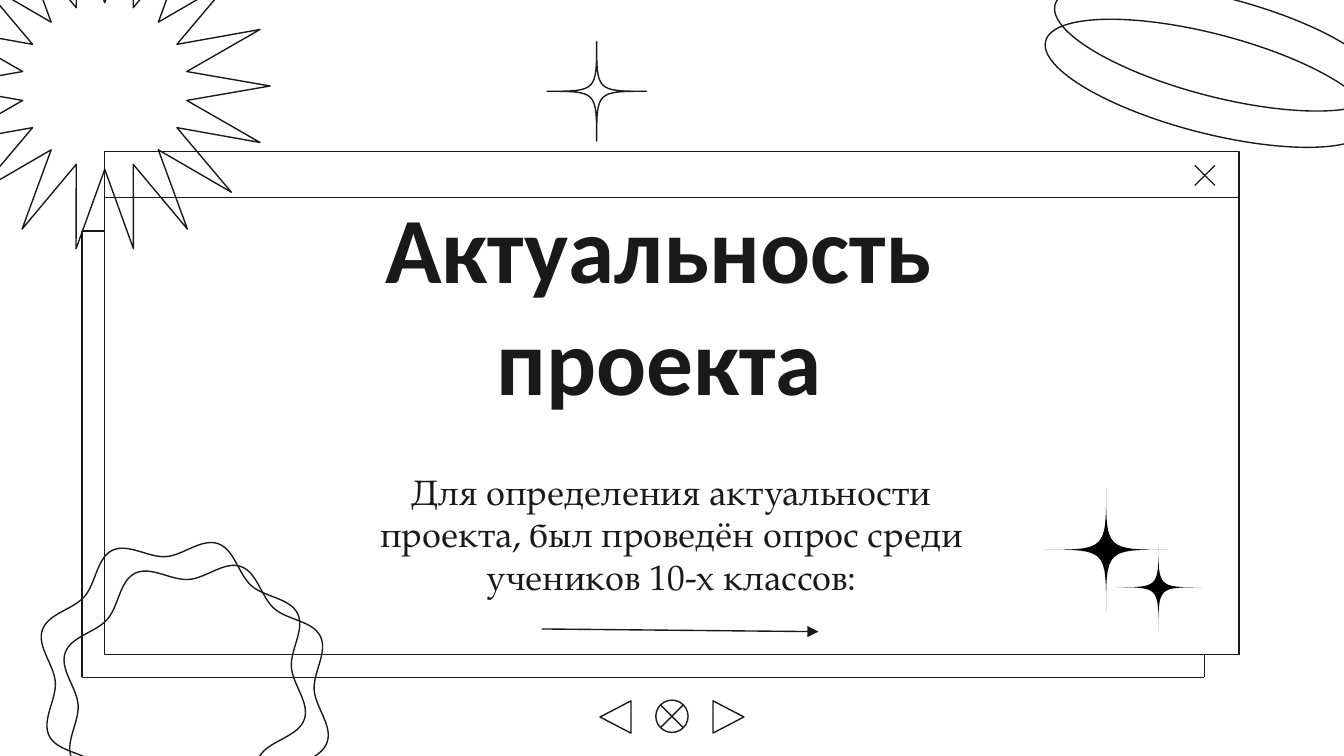
from math import cos, pi, radians, sin

from lxml.etree import SubElement
from pptx import Presentation
from pptx.dml.color import RGBColor
from pptx.enum.shapes import MSO_CONNECTOR, MSO_SHAPE
from pptx.enum.text import MSO_ANCHOR, MSO_AUTO_SIZE, PP_ALIGN
from pptx.oxml.ns import qn
from pptx.util import Inches, Pt

COLORS = {"ink": "191919", "spark": "000000", "arrow": "181818"}


def rgb(name):
    return RGBColor.from_string(COLORS[name])


def style(sp, fill=None):
    sp.shadow.inherit = False
    if fill:
        sp.fill.solid()
        sp.fill.fore_color.rgb = rgb(fill)
        sp.line.fill.background()
    else:
        sp.fill.background()
        sp.line.color.rgb = rgb("ink")
        sp.line.width = Pt(0.75)


def add_outline(s, kind, x, y, w, h, rotation=0):
    sp = s.shapes.add_shape(kind, Inches(x), Inches(y), Inches(w), Inches(h))
    sp.rotation = rotation
    style(sp)


def add_freeform(s, points, fill=None):
    pts = [(Inches(x), Inches(y)) for x, y in points]
    builder = s.shapes.build_freeform(*pts[0], scale=1.0)
    builder.add_line_segments(pts[1:], close=True)
    sp = builder.convert_to_shape()
    style(sp, fill)
    return sp


def add_curve(s, points, fill=None):
    sp = add_freeform(s, points, fill)
    lines = list(sp._element.iter(qn("a:lnTo")))
    for i in range(0, len(lines), 3):
        first, *rest = lines[i:i + 3]
        first.tag = qn("a:cubicBezTo")
        for line in rest:
            first.append(line[0])
            line.getparent().remove(line)
    return sp


def polar(cx, cy, radius, angle):
    return cx + radius * cos(angle), cy + radius * sin(angle)


def add_sunburst(s, cx, cy, outer, inner, rays):
    add_freeform(s, [polar(cx, cy, inner if i % 2 else outer, i * pi / rays)
                     for i in range(2 * rays)])


def add_badge(s, cx, cy, outer, inner, lobes, handle, turn, rotation):
    points = []
    for i in range(2 * lobes + 1):
        angle = i * pi / lobes + radians(turn)
        x, y = polar(cx, cy, inner if i % 2 else outer, angle)
        dx, dy = polar(0, 0, handle, angle + pi / 2)
        points += [(x - dx, y - dy), (x, y), (x + dx, y + dy)]
    add_curve(s, points[1:-1], None).rotation = rotation


def add_sparkle(s, cx, cy, radius, fill=None):
    tips = [polar(cx, cy, radius, i * pi / 2) for i in range(5)]
    points = tips[:1]
    for tip in tips[1:]:
        points += [(cx, cy), (cx, cy), tip]
    add_curve(s, points, fill)


def add_line(s, x1, y1, x2, y2, color="ink", arrow=False):
    c = s.shapes.add_connector(MSO_CONNECTOR.STRAIGHT, Inches(x1), Inches(y1),
                               Inches(x2), Inches(y2))
    c.line.color.rgb = rgb(color)
    c.line.width = Pt(0.75)
    if arrow:
        SubElement(c.line._get_or_add_ln(), qn("a:tailEnd"), type="triangle")
    SubElement(c._element.spPr, qn("a:effectLst"))


def add_window(s):
    add_outline(s, MSO_SHAPE.RECTANGLE, 0.78, 1.47, 8.44, 3.4)
    add_outline(s, MSO_SHAPE.RECTANGLE, 0.78, 1.13, 8.44, 0.34)
    add_line(s, 8.89, 1.23, 9.04, 1.38)
    add_line(s, 8.89, 1.38, 9.04, 1.23)
    edge = [(0.78, 1.72), (0.61, 1.72), (0.61, 5.04), (8.96, 5.04), (8.96, 4.87)]
    for start, end in zip(edge, edge[1:]):
        add_line(s, *start, *end)


def write_text(sp, box, text, font, size, bold=False):
    sp.left, sp.top, sp.width, sp.height = [Inches(v) for v in box]
    tf = sp.text_frame
    tf.word_wrap = True
    tf.auto_size = MSO_AUTO_SIZE.NONE
    tf.vertical_anchor = MSO_ANCHOR.MIDDLE
    tf.margin_left = tf.margin_right = Inches(0.1)
    tf.margin_top = tf.margin_bottom = Inches(0.1)
    p = tf.paragraphs[0]
    p.alignment = PP_ALIGN.CENTER
    r = p.add_run()
    r.text = text
    r.font.name = font
    r.font.size = Pt(size)
    r.font.bold = bold
    r.font.color.rgb = rgb("ink")


def main():
    prs = Presentation()
    prs.slide_width, prs.slide_height = Inches(10), Inches(5.625)
    s = prs.slides.add_slide(prs.slide_layouts[5])

    for x, y in [(7.74, 0.25), (7.81, -0.02)]:
        add_outline(s, MSO_SHAPE.OVAL, x, y, 2.51, 0.74, 14.5)
    for cx, cy in [(1.29, 5.02), (1.46, 5.19)]:
        add_badge(s, cx, cy, 1.03, 0.88, 8, 0.13, 1.4, 17.4)
    add_sparkle(s, 4.44, 0.68, 0.37)
    add_sunburst(s, 0.78, 0.64, 1.23, 0.62, 18)
    add_window(s)

    write_text(s.shapes.title, (2.13, 1.55, 5.55, 1.4),
               "Актуальность проекта", "Calibri", 50, True)
    add_sparkle(s, 8.23, 4.09, 0.46, "spark")
    add_sparkle(s, 8.62, 4.37, 0.32, "spark")
    body = s.shapes.add_textbox(0, 0, 0, 0)
    write_text(body, (2.52, 3.66, 4.96, 0.62),
               "Для определения актуальности проекта, был проведён опрос "
               "среди учеников 10-х классов:", "TeX Gyre Pagella", 19)

    add_outline(s, MSO_SHAPE.ISOSCELES_TRIANGLE, 5.3, 5.22, 0.24, 0.23, 90)
    add_outline(s, MSO_SHAPE.ISOSCELES_TRIANGLE, 4.46, 5.22, 0.24, 0.23, 270)
    add_outline(s, MSO_SHAPE.FLOWCHART_SUMMING_JUNCTION, 4.88, 5.21, 0.24, 0.24)
    add_line(s, 4.03, 4.68, 6.09, 4.7, "arrow", True)
    prs.save("out.pptx")


if __name__ == "__main__":
    main()
